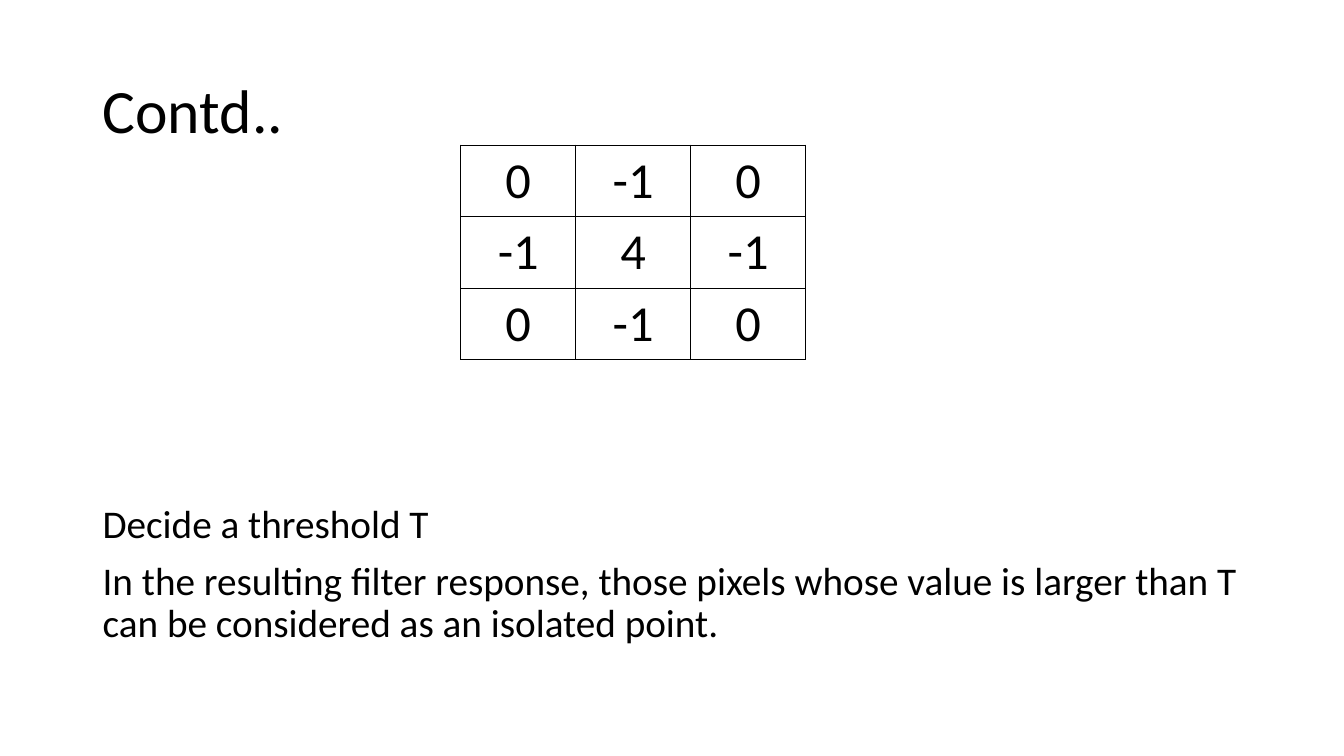
from dataclasses import dataclass

from lxml import etree
from pptx import Presentation
from pptx.dml.color import RGBColor
from pptx.enum.text import MSO_ANCHOR, PP_ALIGN
from pptx.oxml.ns import qn
from pptx.util import Inches, Pt

LEFT = PP_ALIGN.LEFT
CENTER = PP_ALIGN.CENTER
TOP = MSO_ANCHOR.TOP
MIDDLE = MSO_ANCHOR.MIDDLE


@dataclass(frozen=True)
class Theme:
    font: str = "Calibri"
    ink: str = "000000"
    title_size: int = 44
    body_size: int = 28
    cell_size: int = 36
    border_width: int = 1


THEME = Theme()

FILTER_MASK = [
    [0, -1, 0],
    [-1, 4, -1],
    [0, -1, 0],
]
THRESHOLD_STEPS = [
    "Decide a threshold T",
    "In the resulting filter response, those pixels whose value is larger than T "
    "can be considered as an isolated point.",
]


def write_text(paragraph, text, *, size, align=LEFT, line_spacing=1.0, space_before=0):
    paragraph.alignment = align
    paragraph.line_spacing = line_spacing
    paragraph.space_before = Pt(space_before)
    run = paragraph.add_run()
    run.text = text
    run.font.name = THEME.font
    run.font.size = Pt(size)
    run.font.color.rgb = RGBColor.from_string(THEME.ink)


def add_text_box(slide, left, top, width, height, lines, *, anchor=TOP, **text_format):
    box = slide.shapes.add_textbox(Inches(left), Inches(top), Inches(width), Inches(height))
    frame = box.text_frame
    frame.word_wrap = True
    frame.vertical_anchor = anchor
    for index, line in enumerate(lines):
        paragraph = frame.add_paragraph() if index else frame.paragraphs[0]
        write_text(paragraph, line, **text_format)


def set_borders(cell):
    properties = cell._tc.get_or_add_tcPr()
    for position, side in enumerate(("lnL", "lnR", "lnT", "lnB")):
        line = etree.Element(qn(f"a:{side}"), w=str(Pt(THEME.border_width)))
        fill = etree.SubElement(line, qn("a:solidFill"))
        etree.SubElement(fill, qn("a:srgbClr"), val=THEME.ink)
        properties.insert(position, line)


def add_mask_table(slide, left, top, column_width, row_height, values):
    rows, columns = len(values), len(values[0])
    table = slide.shapes.add_table(
        rows, columns, Inches(left), Inches(top),
        Inches(column_width * columns), Inches(row_height * rows),
    ).table
    table.first_row = False
    table.horz_banding = False
    for row_index, row in enumerate(values):
        for column_index, value in enumerate(row):
            cell = table.cell(row_index, column_index)
            cell.fill.background()
            set_borders(cell)
            write_text(cell.text_frame.paragraphs[0], str(value),
                       size=THEME.cell_size, align=CENTER)


def main():
    presentation = Presentation()
    presentation.slide_width = Inches(13.33)
    presentation.slide_height = Inches(7.5)
    slide = presentation.slides.add_slide(presentation.slide_layouts[6])
    add_text_box(slide, 0.92, 0.4, 11.5, 1.45, ["Contd.."],
                 anchor=MIDDLE, size=THEME.title_size, line_spacing=0.9)
    add_text_box(slide, 0.92, 4.96, 11.5, 1.61, THRESHOLD_STEPS,
                 size=THEME.body_size, line_spacing=0.9, space_before=10)
    add_mask_table(slide, 4.57, 1.44, 1.14, 0.71, FILTER_MASK)
    presentation.save("out.pptx")


if __name__ == "__main__":
    main()
